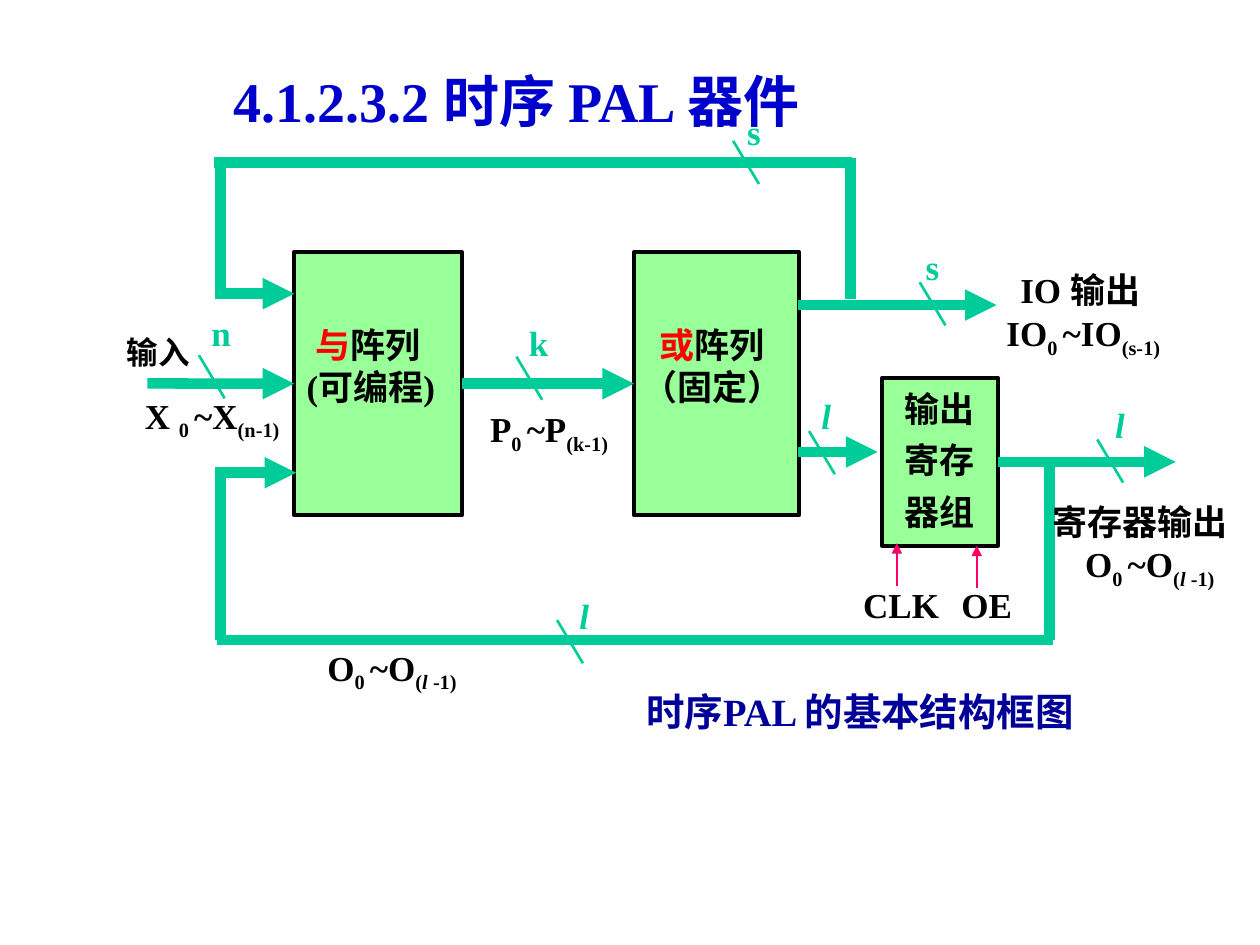
"""Build the slide on the structure of a sequential PAL device."""
from lxml import etree
from pptx import Presentation
from pptx import util as u
from pptx.dml.color import RGBColor
from pptx.enum import shapes, text
from pptx.oxml.ns import qn

COLORS = {"title": "0000CC", "caption": "000099", "ink": "000000", "accent": "FF0000",
          "bus": "00CC99", "block": "99FF99", "control": "FF0066"}
FONT = "Times New Roman"
JUSTIFY, CENTER = text.PP_ALIGN.JUSTIFY, text.PP_ALIGN.CENTER


def indexed(name, last):
    return [(name, ""), ("0 ", "sub"), ("~" + name, ""), *last]


LAST_L = [("(", "sub"), ("l ", "sub italic"), ("-1)", "sub")]

TITLE = "4.1.2.3.2 时序 PAL 器件"
CAPTION = "时序PAL 的基本结构框图"

BLOCKS = {
    "and": (5.93, 5.08, 3.38, 5.31),
    "or": (12.78, 5.08, 3.33, 5.31),
    "register": (17.78, 7.62, 2.34, 3.38),
}

# box, paragraphs, format
TEXTS = [
    ((12.78, 13.74, 9.65, 1.3), [CAPTION], dict(size=22, color="caption", align=JUSTIFY)),
    ((2.31, 6.58, 2.34, 1.04), ["输入"], dict(size=18, align=JUSTIFY)),
    ((2.67, 7.82, 4.32, 1.27),
     [[("X ", ""), ("0 ", "sub"), ("~X", ""), ("(n-1)", "sub")]], dict(align=JUSTIFY)),
    ((6.35, 12.9, 4.32, 1.27), [indexed("O", LAST_L)], dict(align=JUSTIFY)),
    ((9.63, 8.1, 3.71, 1.42), [indexed("P", [("(k-1)", "sub")])], dict(align=JUSTIFY)),
    ((20.32, 5.28, 3.81, 1.3), ["IO 输出"], dict(align=JUSTIFY)),
    ((20.04, 6.15, 3.89, 1.47), [indexed("IO", [("(s-1)", "sub")])], dict(align=JUSTIFY)),
    ((20.96, 9.96, 4.44, 1.17), ["寄存器输出"], {}),
    ((20.96, 10.82, 4.44, 1.27), [indexed("O", LAST_L)], dict(align=CENTER)),
    ((17.15, 11.63, 2.11, 1.12), ["CLK"], {}),
    ((19.13, 11.63, 2.11, 1.12), ["OE"], {}),
    ((5.93, 6.4, 3.38, 3.73), [[("与", "accent"), ("阵列", "")], "(可编程)"],
     dict(align=JUSTIFY, indent=0.18)),
    ((12.7, 6.4, 3.38, 3.73), [[("或", "accent"), ("阵列", "")], "（固定）"],
     dict(align=JUSTIFY, indent=0.34)),
    ((17.98, 7.92, 2.34, 2.92), ["输出", "寄存", "器组"], dict(spacing=0.7, gap=12.5)),
]

# width label, its corner, corner of the slash across the bus
WIDTHS = [
    ("s", (14.81, 2.11), (14.78, 2.84)),
    ("s", (18.41, 4.83), (18.54, 5.69)),
    ("n", (4.01, 6.15), (4.01, 7.16)),
    ("k", (10.41, 6.35), (10.41, 7.19)),
    ("l", (16.31, 7.82), (16.31, 8.69)),
    ("l", (22.23, 8.0), (22.12, 8.86)),
    ("l", (11.43, 11.86), (11.23, 12.5)),
]
LABEL_SIZE = (0.84, 1.12)
SLASH = (0.52, 0.87)

# start, end; a (block, side) pair stands for the middle of that side
ARROWS = [
    ((2.97, 7.73), ("and", 1)),
    (("and", 3), ("or", 1)),
    (("register", 3), (23.7, 9.31)),
    ((16.08, 6.15), (20.09, 6.15)),
    ((16.08, 9.11), (17.69, 9.11)),
    ((4.42, 5.92), (5.93, 5.92)),
    ((4.45, 9.53), (5.97, 9.53)),
]
FEEDBACK = [
    ((17.15, 3.18), (17.15, 6.02)), ((4.32, 3.28), (17.17, 3.28)), ((4.45, 3.18), (4.45, 6.02)),
    ((21.16, 9.25), (21.16, 12.9)), ((4.37, 12.9), (21.23, 12.9)), ((4.45, 9.42), (4.45, 12.9)),
]
CONTROLS = [((18.08, 11.81), (18.08, 10.95)), ((19.69, 11.86), (19.69, 11.0))]


def rgb(name):
    return RGBColor.from_string(COLORS[name])


def write(frame, paragraphs, size=20, color="ink", align=None, italic=False,
          indent=None, spacing=None, gap=None):
    frame.word_wrap = True
    for number, runs in enumerate(paragraphs):
        line = frame.paragraphs[0] if number == 0 else frame.add_paragraph()
        line.alignment, line.line_spacing = align, spacing
        if number and gap:
            line.space_before = u.Pt(gap)
        if indent and number == 0:
            line._p.get_or_add_pPr().set("indent", str(u.Cm(indent)))
        for words, style in [(runs, "")] if isinstance(runs, str) else runs:
            run = line.add_run()
            run.text = words
            font = run.font
            font.name, font.size, font.bold = FONT, u.Pt(size), True
            font.italic = italic or "italic" in style
            font.color.rgb = rgb("accent" if style == "accent" else color)
            if "sub" in style:
                run._r.get_or_add_rPr().set("baseline", "-25000")


def add_text(slide, box, paragraphs, **style):
    write(slide.shapes.add_textbox(*map(u.Cm, box)).text_frame, paragraphs, **style)


def add_wire(slide, blocks, start, end, color="bus", width=6, arrow=False):
    ends = [(0, 0) if point[0] in blocks else point for point in (start, end)]
    wire = slide.shapes.add_connector(
        shapes.MSO_CONNECTOR.STRAIGHT, *(u.Cm(value) for point in ends for value in point))
    for point, join in ((start, wire.begin_connect), (end, wire.end_connect)):
        if point[0] in blocks:
            join(blocks[point[0]], point[1])
    wire.line.color.rgb, wire.line.width = rgb(color), u.Pt(width)
    if arrow:
        etree.SubElement(wire.line._get_or_add_ln(), qn("a:tailEnd"), type="triangle")
    etree.SubElement(wire._element.spPr, qn("a:effectLst"))


def add_block(slide, box):
    block = slide.shapes.add_shape(shapes.MSO_SHAPE.RECTANGLE, *map(u.Cm, box))
    block.shadow.inherit = False
    block.fill.solid()
    block.fill.fore_color.rgb = rgb("block")
    block.line.color.rgb, block.line.width = rgb("ink"), u.Pt(2.25)
    return block


def main():
    deck = Presentation()
    deck.slide_width, deck.slide_height = u.Cm(25.4), u.Cm(19.05)
    slide = deck.slides.add_slide(deck.slide_layouts[5])
    title = slide.shapes.title
    title.left, title.top, title.width, title.height = map(u.Cm, (4.45, 1.07, 13.26, 1.9))
    title.text_frame.vertical_anchor = text.MSO_ANCHOR.MIDDLE
    write(title.text_frame, [TITLE], size=32, color="title", align=text.PP_ALIGN.LEFT)

    blocks = {name: add_block(slide, box) for name, box in BLOCKS.items()}
    for start, end in ARROWS:
        add_wire(slide, blocks, start, end, arrow=True)
    for start, end in FEEDBACK:
        add_wire(slide, blocks, start, end)
    for start, end in CONTROLS:
        add_wire(slide, blocks, start, end, color="control", width=1, arrow=True)
    for label, corner, (x, y) in WIDTHS:
        add_wire(slide, blocks, (x, y), (x + SLASH[0], y + SLASH[1]), width=1.5)
        add_text(slide, corner + LABEL_SIZE, [label], color="bus", italic=label == "l")
    for box, paragraphs, style in TEXTS:
        add_text(slide, box, paragraphs, **style)
    deck.save("out.pptx")


if __name__ == "__main__":
    main()
